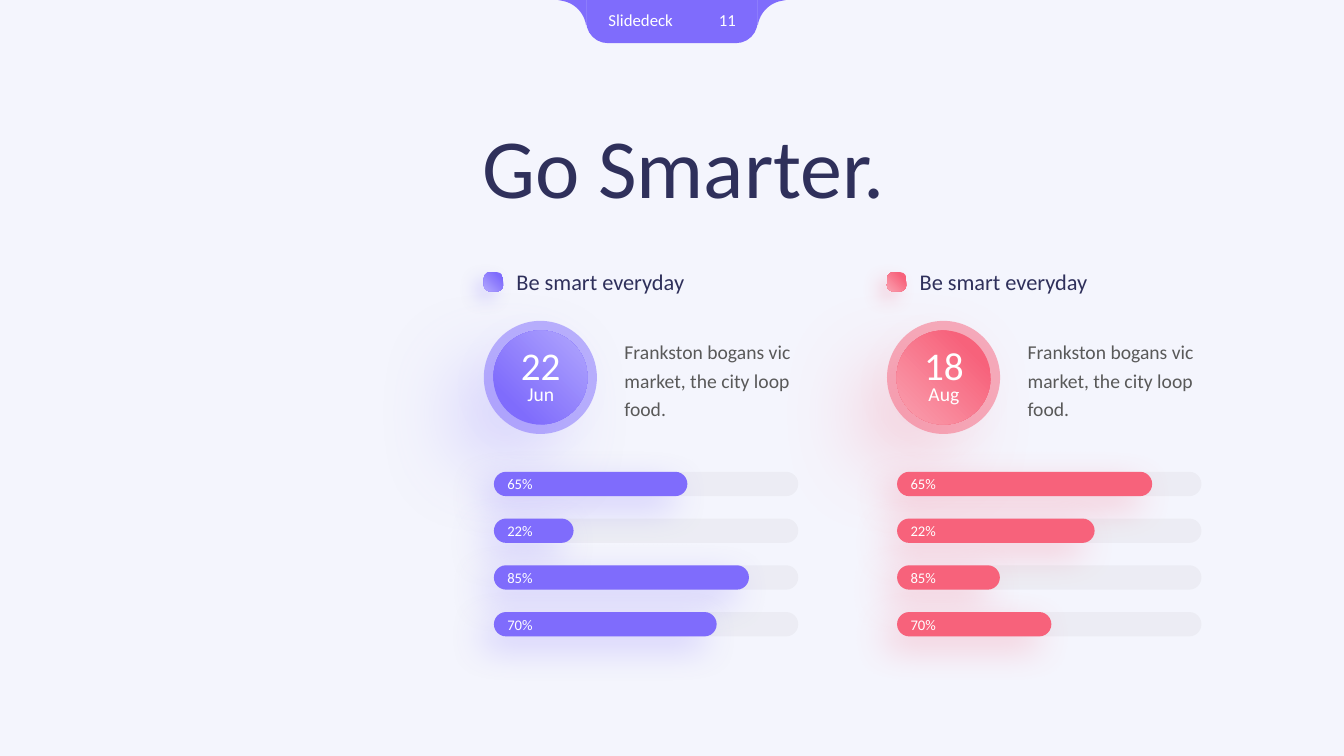
from dataclasses import dataclass

import pptx
import pptx.dml.color
import pptx.enum.shapes
import pptx.enum.text
import pptx.oxml
import pptx.oxml.ns
import pptx.util

Pt = pptx.util.Pt
Shape = pptx.enum.shapes.MSO_SHAPE
Align = pptx.enum.text.PP_ALIGN
Anchor = pptx.enum.text.MSO_ANCHOR
AutoSize = pptx.enum.text.MSO_AUTO_SIZE
color = pptx.dml.color.RGBColor.from_string
qn = pptx.oxml.ns.qn
NAMESPACE = pptx.oxml.ns.nsdecls("a")


@dataclass(frozen=True)
class Theme:
    font: str = "Calibri"
    background: str = "F4F5FD"
    purple: str = "7F6CFC"
    purple_light: str = "B2A7FD"
    red: str = "F7627B"
    red_light: str = "FAA1B0"
    track: str = "A6A6A6"
    heading: str = "2F305B"
    body: str = "595959"
    white: str = "FFFFFF"
    title_size: float = 60
    day_size: float = 28
    heading_size: float = 16
    body_size: float = 14
    tab_size: float = 12
    bar_size: float = 10.5


theme = Theme()


def write(shape, text, size, text_color, align=Align.LEFT, spacing=1.0):
    """Put one formatted paragraph into a shape, anchored at the top."""
    frame = shape.text_frame
    frame.word_wrap = True
    frame.vertical_anchor = Anchor.TOP
    frame.text = text
    paragraph = frame.paragraphs[0]
    paragraph.alignment = align
    paragraph.line_spacing = spacing
    font = paragraph.runs[0].font
    font.name, font.size = theme.font, Pt(size)
    font.color.rgb = color(text_color)
    return frame


def paint(shape, fill, alpha=100, light=None, focus="", shadow=None):
    """Fill a shape; light and focus give a radial gradient, shadow is (alpha, blur, distance)."""
    properties = shape.element.spPr
    shape.line.fill.background()
    shape.shadow.inherit = False
    shape.fill.solid()
    shape.fill.fore_color.rgb = color(fill)
    solid = properties.find(qn("a:solidFill"))
    if alpha < 100:
        solid[0].append(pptx.oxml.parse_xml(f'<a:alpha {NAMESPACE} val="{alpha * 1000}"/>'))
    if light:
        properties.replace(solid, pptx.oxml.parse_xml(
            f'<a:gradFill {NAMESPACE} rotWithShape="1"><a:gsLst>'
            f'<a:gs pos="0"><a:srgbClr val="{light}"/></a:gs>'
            f'<a:gs pos="80000"><a:srgbClr val="{fill}"/></a:gs></a:gsLst>'
            f'<a:path path="circle"><a:fillToRect {focus}/></a:path></a:gradFill>'))
    if shadow:
        strength, blur, distance = shadow
        properties.find(qn("a:effectLst")).append(pptx.oxml.parse_xml(
            f'<a:outerShdw {NAMESPACE} blurRad="{Pt(blur)}" dist="{Pt(distance)}" '
            f'dir="8100000" algn="tr" rotWithShape="0"><a:srgbClr val="{fill}">'
            f'<a:alpha val="{strength * 1000}"/></a:srgbClr></a:outerShdw>'))


TOP_RIGHT = 'l="100000" b="100000"'
BOTTOM_LEFT = 't="100000" r="100000"'

presentation = pptx.Presentation()
presentation.slide_width, presentation.slide_height = Pt(960), Pt(540)
slide = presentation.slides.add_slide(presentation.slide_layouts[5])
slide.background.fill.solid()
slide.background.fill.fore_color.rgb = color(theme.background)
shapes = slide.shapes

# Tab at the top edge, with a curved flare on either side
center = 480
tab = shapes.add_shape(Shape.ROUND_2_SAME_RECTANGLE, Pt(center - 61.2), 0, Pt(122.4), Pt(30.8))
tab.adjustments[0], tab.adjustments[1] = 0, 0.5
paint(tab, theme.purple)

curve = ((78, 0.7), (69.4, 2.2), (62.9, 9.4), (61.5, 17.3))
outline = [(81.4, 0)]
for step in range(17):
    t = step / 16
    weights = ((1 - t) ** 3, 3 * t * (1 - t) ** 2, 3 * t ** 2 * (1 - t), t ** 3)
    outline.append(tuple(sum(w * point[axis] for w, point in zip(weights, curve))
                         for axis in (0, 1)))
outline += [(61.4, 18), (61, 18)]
for side in (1, -1):
    builder = shapes.build_freeform(Pt(center + side * 61), 0)
    builder.add_line_segments([(Pt(center + side * x), Pt(y)) for x, y in outline])
    paint(builder.convert_to_shape(), theme.purple)

for text, left, width, align in (("11", 492.5, 40.3, Align.RIGHT),
                                 ("Slidedeck", 427.5, 82, Align.LEFT)):
    label = shapes.add_textbox(Pt(left), Pt(3.6), Pt(width), Pt(21.6))
    write(label, text, theme.tab_size, theme.white, align).auto_size = AutoSize.SHAPE_TO_FIT_TEXT

# Two columns: date badge, description, heading and progress bars
columns = (
    ("22", "Jun", theme.purple, theme.purple_light, TOP_RIGHT, (138.2, 56.9, 182.2, 159.1)),
    ("18", "Aug", theme.red, theme.red_light, BOTTOM_LEFT, (182.2, 141.1, 73.4, 110.2)),
)
bar_labels = ("65%", "22%", "85%", "70%")

for index, (day, month, accent, light, focus, bar_widths) in enumerate(columns):
    left = 345.6 + index * 288

    ring = shapes.add_shape(Shape.OVAL, Pt(left), Pt(229.2), Pt(80.8), Pt(80.8))
    paint(ring, accent, alpha=50, shadow=(4, 24, 9))
    disc = shapes.add_shape(Shape.OVAL, Pt(left + 6.8), Pt(236), Pt(67.2), Pt(67.2))
    paint(disc, accent, light=light, focus=focus, shadow=(30, 62, 36))

    texts = (
        (day, 5, 240.5, 71.3, 41, theme.day_size, theme.white, Align.CENTER, 1.0),
        (month, 5, 269.5, 71.3, 24.2, theme.body_size, theme.white, Align.CENTER, 1.0),
        ("Frankston bogans vic market, the city loop food.",
         93.4, 236.2, 146.9, 67, theme.body_size, theme.body, Align.LEFT, 1.2),
        ("Be smart everyday",
         16.2, 188.2, 206, 26.6, theme.heading_size, theme.heading, Align.LEFT, 1.0),
    )
    for text, offset, top, width, height, size, text_color, align, spacing in texts:
        box = shapes.add_textbox(Pt(left + offset), Pt(top), Pt(width), Pt(height))
        frame = write(box, text, size, text_color, align, spacing)
        frame.auto_size = AutoSize.SHAPE_TO_FIT_TEXT

    marker = shapes.add_shape(Shape.ROUNDED_RECTANGLE, Pt(left), Pt(194.4), Pt(13.8), Pt(13.8))
    marker.adjustments[0] = 0.316
    paint(marker, accent, light=light, focus=BOTTOM_LEFT, shadow=(23, 13, 8))

    for row, (bar_label, bar_width) in enumerate(zip(bar_labels, bar_widths)):
        for width in (217.4, bar_width):
            bar = shapes.add_shape(Shape.ROUNDED_RECTANGLE, Pt(left + 7.2),
                                   Pt(337 + row * 33.4), Pt(width), Pt(17.4))
            bar.adjustments[0] = 0.5
            if width == bar_width:
                paint(bar, accent, shadow=(30, 26, 12))
                frame = write(bar, bar_label, theme.bar_size, theme.white)
                frame.vertical_anchor = Anchor.MIDDLE
            else:
                paint(bar, theme.track, alpha=10)

title = shapes.title
title.left, title.top, title.width, title.height = Pt(337.2), Pt(92.2), Pt(528.5), Pt(67)
frame = write(title, "Go Smarter.", theme.title_size, theme.heading, spacing=0.8)
frame.auto_size = AutoSize.NONE

presentation.save("out.pptx")
